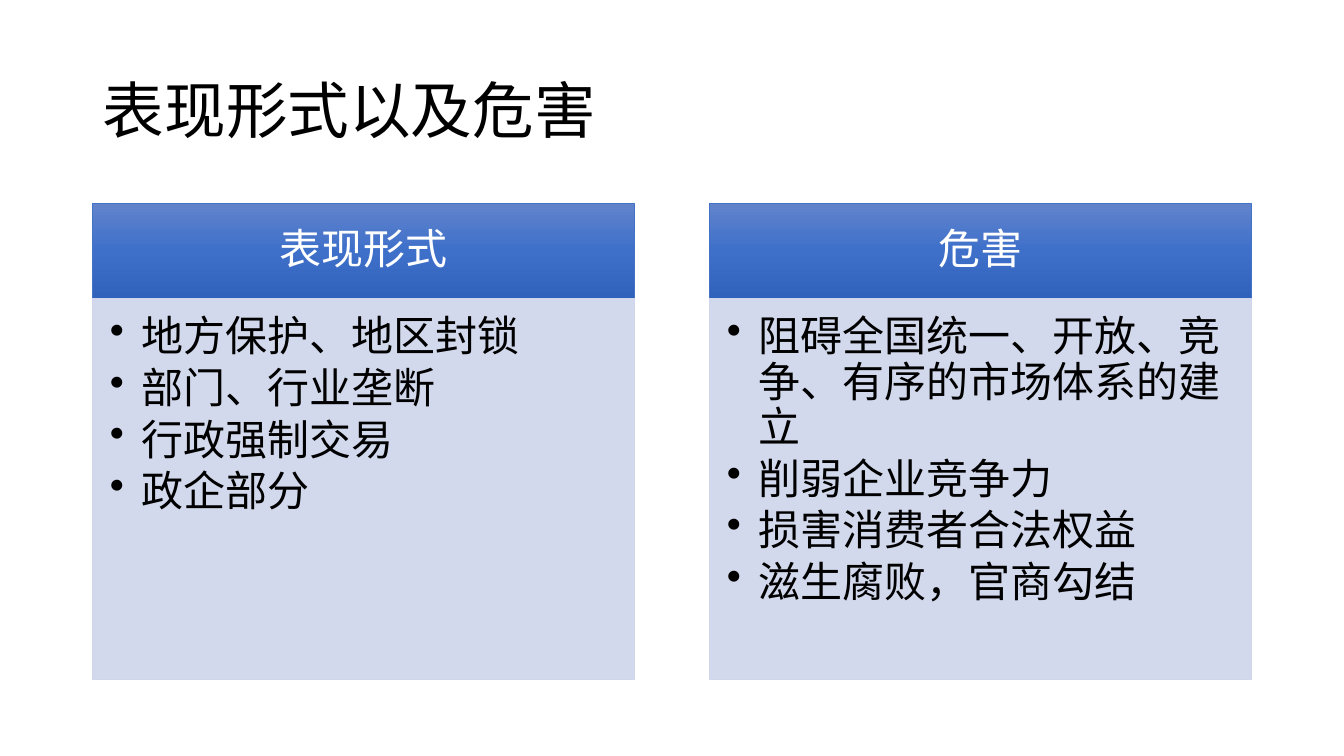
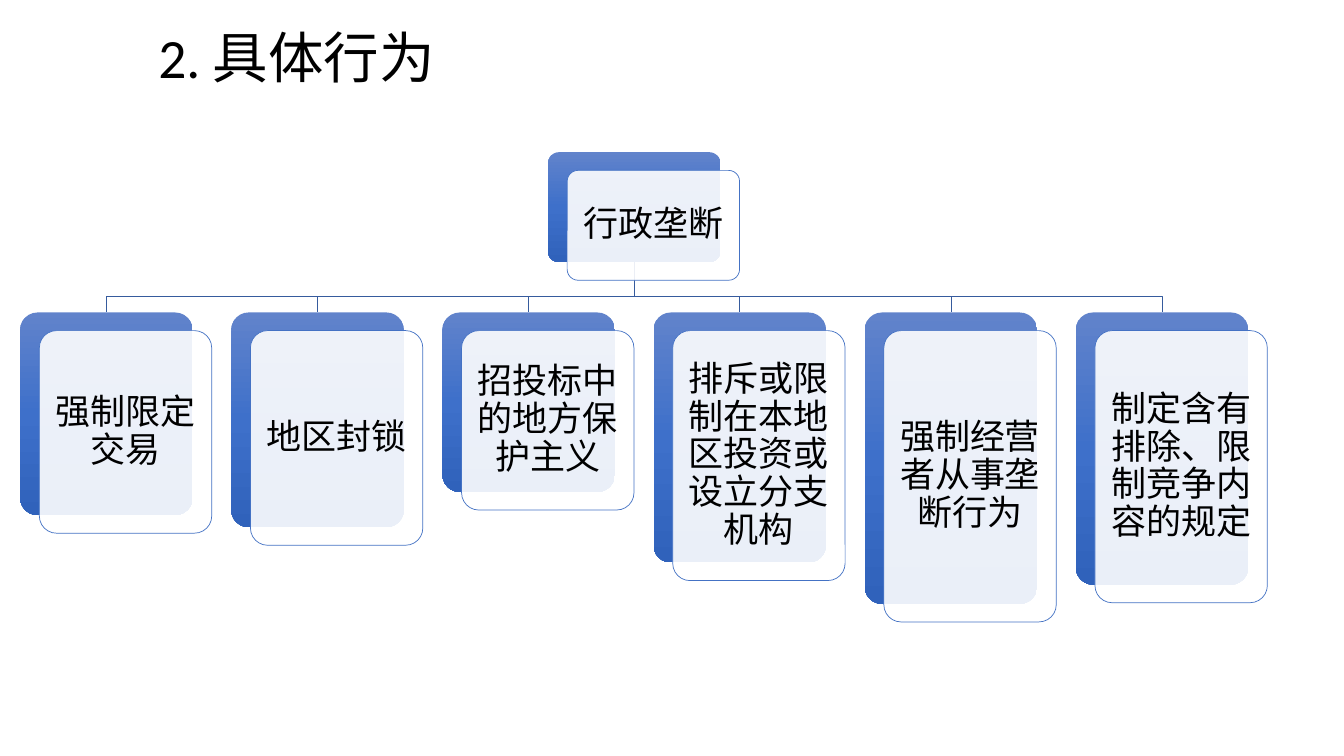
import copy
from dataclasses import dataclass

import pptx
import pptx.dml.color
import pptx.enum.shapes
import pptx.enum.text
import pptx.oxml.ns
import pptx.oxml.xmlchemy
import pptx.presentation
import pptx.shapes.autoshape
import pptx.slide
import pptx.text.text
import pptx.util
from lxml import etree

Inches = pptx.util.Inches
Pt = pptx.util.Pt
Shapes = pptx.enum.shapes.MSO_SHAPE
Anchor = pptx.enum.text.MSO_ANCHOR
Align = pptx.enum.text.PP_ALIGN
qn = pptx.oxml.ns.qn

COLORS = {
    "text": "000000",
    "light": "FFFFFF",
    "accent": "4472C4",
    "panel": "CFD5EA",
    "branch": "365B9D",
    "grad_top": "6183CB",
    "grad_middle": "3E70CA",
    "grad_bottom": "3062BB",
}
FONT = "Calibri"
OPACITY = 90
LINE_WIDTH = 0.5

COLUMN_TOP, COLUMN_WIDTH, COLUMN_PITCH = 2.02, 5.37, 6.12
HEADER_HEIGHT, PANEL_HEIGHT = 0.94, 3.78
BULLET_INDENT = 0.31

CARD_WIDTH = 1.71
CARD_SHIFT_X, CARD_SHIFT_Y = 0.19, 0.18
FIRST_CARD_LEFT, LAST_CARD_LEFT = 0.2, 10.67
ROOT_TOP, ROOT_HEIGHT = 1.51, 1.09
BRANCH_Y, CARDS_TOP = 2.94, 3.1


@dataclass(frozen=True)
class Box:
    left: float
    top: float
    width: float
    height: float


@dataclass(frozen=True)
class Column:
    heading: str
    points: tuple[str, ...]


@dataclass(frozen=True)
class Card:
    label: str
    height: float


COLUMNS = (
    Column("表现形式", ("地方保护、地区封锁", "部门、行业垄断", "行政强制交易", "政企部分")),
    Column("危害", (
        "阻碍全国统一、开放、竞争、有序的市场体系的建立",
        "削弱企业竞争力",
        "损害消费者合法权益",
        "滋生腐败，官商勾结",
    )),
)
ROOT = Card("行政垄断", ROOT_HEIGHT)
BEHAVIOURS = (
    Card("强制限定交易", 2.01),
    Card("地区封锁", 2.13),
    Card("招投标中的地方保护主义", 1.78),
    Card("排斥或限制在本地区投资或设立分支机构", 2.48),
    Card("强制经营者从事垄断行为", 2.89),
    Card("制定含有排除、限制竞争内容的规定", 2.7),
)


def color(name: str) -> pptx.dml.color.RGBColor:
    return pptx.dml.color.RGBColor.from_string(COLORS[name])


def format_paragraph(paragraph: pptx.text.text._Paragraph, size: float, ink: str, align: Align) -> None:
    paragraph.alignment = align
    paragraph.line_spacing = 0.9
    paragraph.font.name = FONT
    paragraph.font.size = Pt(size)
    paragraph.font.color.rgb = color(ink)


def add_bullet(paragraph: pptx.text.text._Paragraph) -> None:
    paragraph.level = 1
    paragraph.space_after = Pt(4.5)
    properties = paragraph._p.get_or_add_pPr()
    properties.set("marL", str(Inches(BULLET_INDENT)))
    properties.set("indent", str(-Inches(BULLET_INDENT)))
    etree.SubElement(properties, qn("a:buChar")).set("char", "•")


def write_text(shape: pptx.shapes.autoshape.Shape, lines: tuple[str, ...], size: float, ink: str,
               insets: tuple[float, float, float, float], bulleted: bool = False) -> None:
    frame = shape.text_frame
    frame.word_wrap = True
    frame.vertical_anchor = Anchor.TOP if bulleted else Anchor.MIDDLE
    frame.margin_left, frame.margin_top, frame.margin_right, frame.margin_bottom = map(Inches, insets)
    frame.text = "\n".join(lines)
    for paragraph in frame.paragraphs:
        format_paragraph(paragraph, size, ink, Align.LEFT if bulleted else Align.CENTER)
        if bulleted:
            add_bullet(paragraph)


def add_block(slide: pptx.slide.Slide, preset: Shapes, box: Box, outline: str | None) -> pptx.shapes.autoshape.Shape:
    block = slide.shapes.add_shape(
        preset, Inches(box.left), Inches(box.top), Inches(box.width), Inches(box.height))
    block.shadow.inherit = False
    if preset == Shapes.ROUNDED_RECTANGLE:
        block.adjustments[0] = 0.1
    if outline:
        block.line.color.rgb = color(outline)
        block.line.width = Pt(LINE_WIDTH)
    else:
        block.line.fill.background()
    return block


def fill_gradient(block: pptx.shapes.autoshape.Shape) -> None:
    block.fill.gradient()
    block.fill.gradient_angle = 270
    stop_list = block._element.spPr.find(f".//{qn('a:gsLst')}")
    stop_list.insert(1, copy.deepcopy(stop_list[0]))
    tones = ("grad_top", "grad_middle", "grad_bottom")
    for index, (stop, tone) in enumerate(zip(block.fill.gradient_stops, tones)):
        stop.position = index / 2
        stop.color.rgb = color(tone)


def fill_translucent(block: pptx.shapes.autoshape.Shape, tone: str) -> None:
    block.fill.solid()
    block.fill.fore_color.rgb = color(tone)
    rgb = block._element.spPr.find(f"{qn('a:solidFill')}/{qn('a:srgbClr')}")
    etree.SubElement(rgb, qn("a:alpha")).set("val", str(OPACITY * 1000))


def add_titled_slide(deck: pptx.presentation.Presentation, title: str, box: Box, size: float) -> pptx.slide.Slide:
    slide = deck.slides.add_slide(deck.slide_layouts[5])
    heading = slide.shapes.title
    heading.left, heading.top = Inches(box.left), Inches(box.top)
    heading.width, heading.height = Inches(box.width), Inches(box.height)
    heading.text_frame.text = title
    heading.text_frame.auto_size = pptx.enum.text.MSO_AUTO_SIZE.NONE
    heading.text_frame.vertical_anchor = Anchor.MIDDLE
    format_paragraph(heading.text_frame.paragraphs[0], size, "text", Align.LEFT)
    return slide


def add_column(slide: pptx.slide.Slide, column: Column, left: float) -> None:
    header = add_block(slide, Shapes.RECTANGLE, Box(left, COLUMN_TOP, COLUMN_WIDTH, HEADER_HEIGHT), "accent")
    fill_gradient(header)
    write_text(header, (column.heading,), 30, "light", (0.23, 0.13, 0.23, 0.13))
    panel_box = Box(left, COLUMN_TOP + HEADER_HEIGHT, COLUMN_WIDTH, PANEL_HEIGHT)
    panel = add_block(slide, Shapes.RECTANGLE, panel_box, "panel")
    fill_translucent(panel, "panel")
    write_text(panel, column.points, 30, "text", (0.17, 0.17, 0.23, 0.26), bulleted=True)


def add_card(slide: pptx.slide.Slide, card: Card, left: float, top: float) -> None:
    backing = add_block(slide, Shapes.ROUNDED_RECTANGLE, Box(left, top, CARD_WIDTH, card.height), None)
    fill_gradient(backing)
    face_box = Box(left + CARD_SHIFT_X, top + CARD_SHIFT_Y, CARD_WIDTH, card.height)
    face = add_block(slide, Shapes.ROUNDED_RECTANGLE, face_box, "accent")
    fill_translucent(face, "light")
    write_text(face, (card.label,), 25, "text", (0.1, 0.1, 0.1, 0.1))


def add_branch(slide: pptx.slide.Slide, root_x: float, card_x: float) -> None:
    route = ((root_x, BRANCH_Y), (card_x, BRANCH_Y), (card_x, CARDS_TOP))
    builder = slide.shapes.build_freeform(Inches(root_x), Inches(ROOT_TOP + ROOT_HEIGHT))
    builder.add_line_segments([(Inches(x), Inches(y)) for x, y in route], close=False)
    branch = builder.convert_to_shape()
    branch.shadow.inherit = False
    branch.fill.background()
    branch.line.color.rgb = color("branch")
    branch.line.width = Pt(LINE_WIDTH)


def build_forms_slide(deck: pptx.presentation.Presentation) -> None:
    slide = add_titled_slide(deck, "表现形式以及危害", Box(0.92, 0.4, 11.5, 1.45), 44)
    for index, column in enumerate(COLUMNS):
        add_column(slide, column, 0.92 + index * COLUMN_PITCH)


def build_behaviours_slide(deck: pptx.presentation.Presentation) -> None:
    slide = add_titled_slide(deck, "2. 具体行为", Box(1.47, 0.3, 5.38, 0.61), 39.6)
    pitch = (LAST_CARD_LEFT - FIRST_CARD_LEFT) / (len(BEHAVIOURS) - 1)
    card_lefts = [FIRST_CARD_LEFT + index * pitch for index in range(len(BEHAVIOURS))]
    root_left = (FIRST_CARD_LEFT + LAST_CARD_LEFT) / 2
    for left in reversed(card_lefts):
        add_branch(slide, root_left + CARD_WIDTH / 2, left + CARD_WIDTH / 2)
    add_card(slide, ROOT, root_left, ROOT_TOP)
    for card, left in zip(BEHAVIOURS, card_lefts):
        add_card(slide, card, left, CARDS_TOP)


def main() -> None:
    deck = pptx.Presentation()
    deck.slide_width, deck.slide_height = Inches(13.33), Inches(7.5)
    build_forms_slide(deck)
    build_behaviours_slide(deck)
    deck.save("out.pptx")


main()
